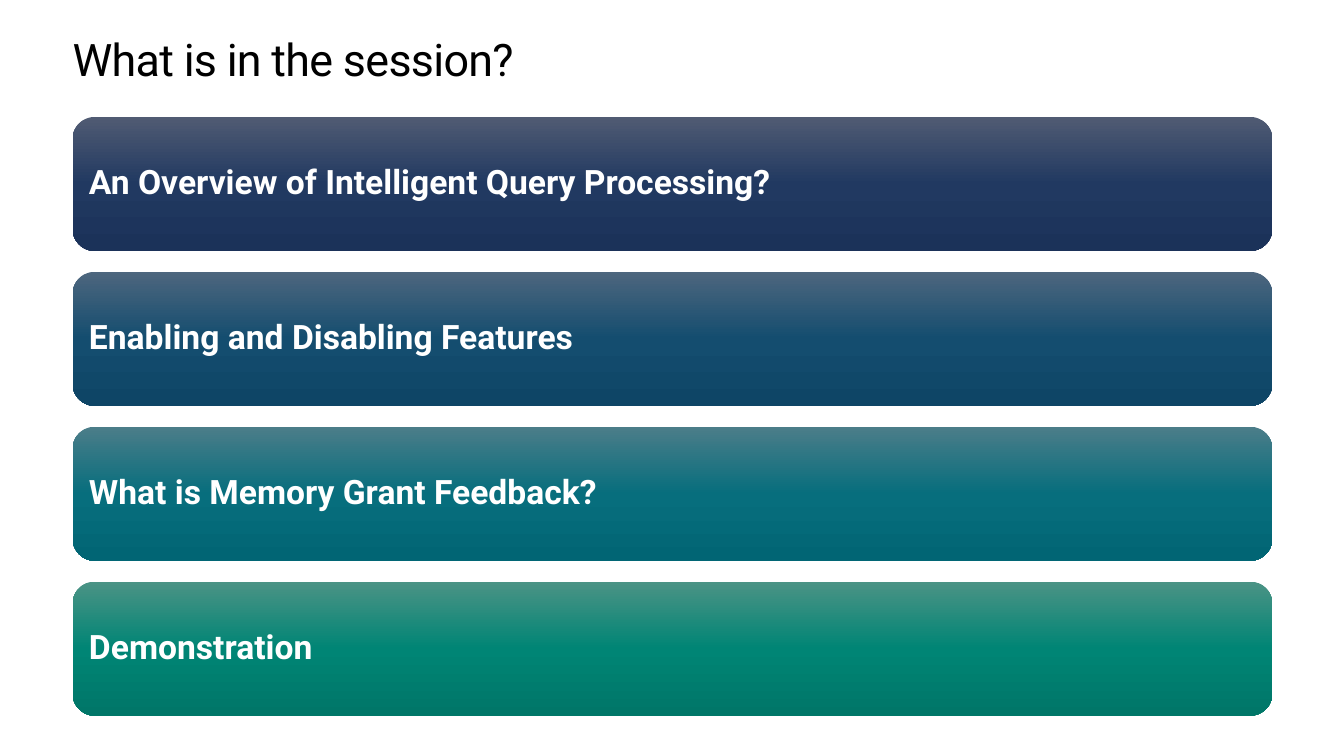
from lxml.etree import SubElement
from pptx import Presentation
from pptx.dml.color import RGBColor
from pptx.enum.shapes import MSO_SHAPE
from pptx.enum.text import MSO_ANCHOR, PP_ALIGN
from pptx.oxml.ns import qn
from pptx.util import Inches, Pt

FONT = "Roboto"
COLORS = {"background": "FFFFFF", "title": "000000", "bar_text": "FFFFFF"}
LEFT, WIDTH = 0.72, 11.9
BAR_TOP, BAR_HEIGHT, BAR_PITCH = 1.16, 1.33, 4.61 / 3

# Topic, then gradient colours from top to bottom
TOPICS = [
    ("An Overview of Intelligent Query Processing?", ("505B73", "213961", "1B3259")),
    ("Enabling and Disabling Features", ("4D667E", "144D6F", "0E4566")),
    ("What is Memory Grant Feedback?", ("4B7D89", "076E7D", "016574")),
    ("Demonstration", ("4B9385", "008575", "007668")),
]


def set_text(tf, text, size, color, margin, bold=False):
    """Fill a text frame with one left-aligned run and return its paragraph and run."""
    tf.word_wrap = True
    tf.margin_left = tf.margin_right = tf.margin_top = tf.margin_bottom = Inches(margin)
    p = tf.paragraphs[0]
    p.alignment = PP_ALIGN.LEFT
    r = p.add_run()
    r.text = text
    r.font.name = FONT
    r.font.size = Pt(size)
    r.font.bold = bold
    r.font.color.rgb = RGBColor.from_string(color)
    return p, r


def set_vertical_gradient(sp, colors):
    """Spread the colours evenly from the top edge to the bottom edge."""
    sp.fill.gradient()
    sp.fill.gradient_angle = 270
    stops = sp._element.spPr.find(qn("a:gradFill")).find(qn("a:gsLst"))
    stops.clear()
    for i, color in enumerate(colors):
        gs = SubElement(stops, qn("a:gs"), pos=str(100000 * i // (len(colors) - 1)))
        SubElement(gs, qn("a:srgbClr"), val=color)


def add_title(s, text):
    tb = s.shapes.add_textbox(Inches(LEFT), Inches(0.35), Inches(WIDTH), Inches(0.5))
    tb.fill.solid()
    tb.fill.fore_color.rgb = RGBColor.from_string(COLORS["background"])
    p, r = set_text(tb.text_frame, text, 32, COLORS["title"], 0)
    p.line_spacing = Pt(36.2)
    r.font._element.set("spc", "-50")


def add_topic_bar(s, row, text, colors):
    sp = s.shapes.add_shape(
        MSO_SHAPE.ROUNDED_RECTANGLE,
        Inches(LEFT), Inches(BAR_TOP + row * BAR_PITCH), Inches(WIDTH), Inches(BAR_HEIGHT),
    )
    sp.shadow.inherit = False
    sp.line.fill.background()
    set_vertical_gradient(sp, colors)
    tf = sp.text_frame
    tf.vertical_anchor = MSO_ANCHOR.MIDDLE
    p, _ = set_text(tf, text, 24, COLORS["bar_text"], 0.1, bold=True)
    p.line_spacing = 0.9


def main():
    prs = Presentation()
    prs.slide_width, prs.slide_height = Inches(13.33), Inches(7.5)
    s = prs.slides.add_slide(prs.slide_layouts[6])
    add_title(s, "What is in the session?")
    for row, (text, colors) in enumerate(TOPICS):
        add_topic_bar(s, row, text, colors)
    prs.save("out.pptx")


if __name__ == "__main__":
    main()
